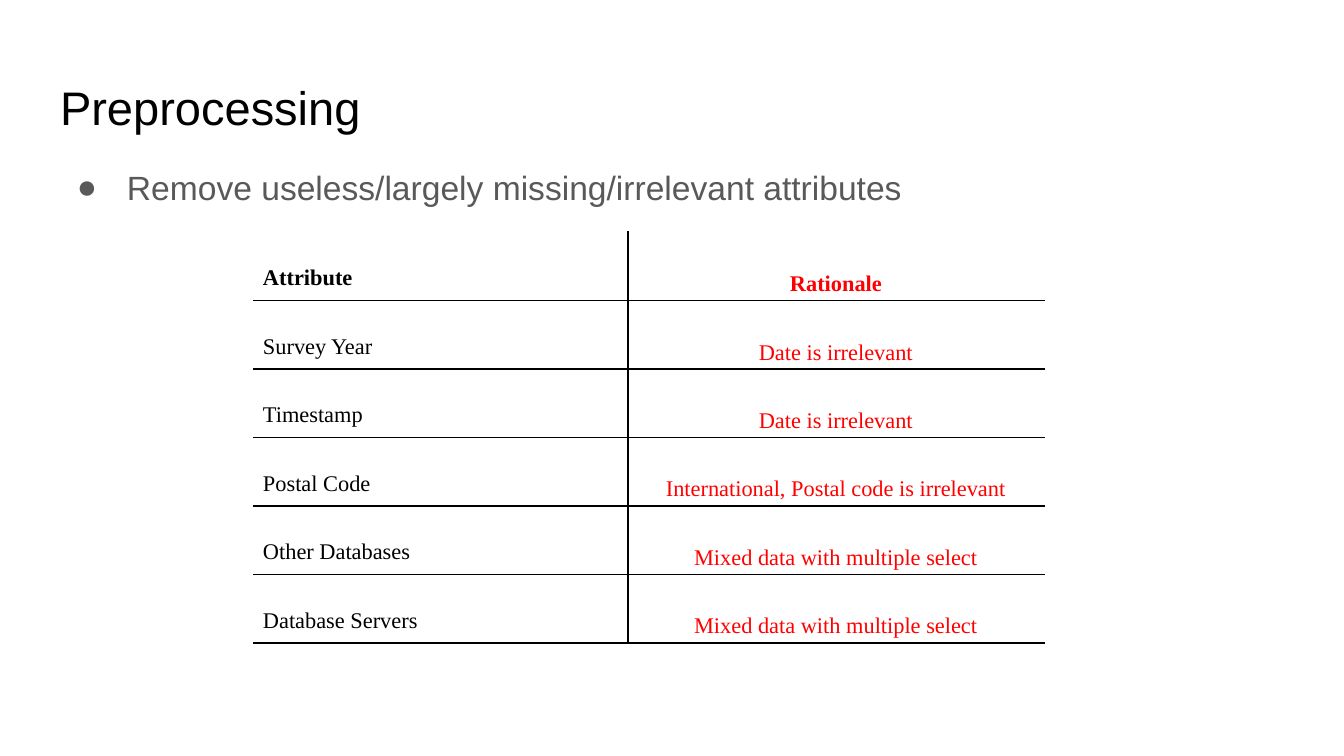
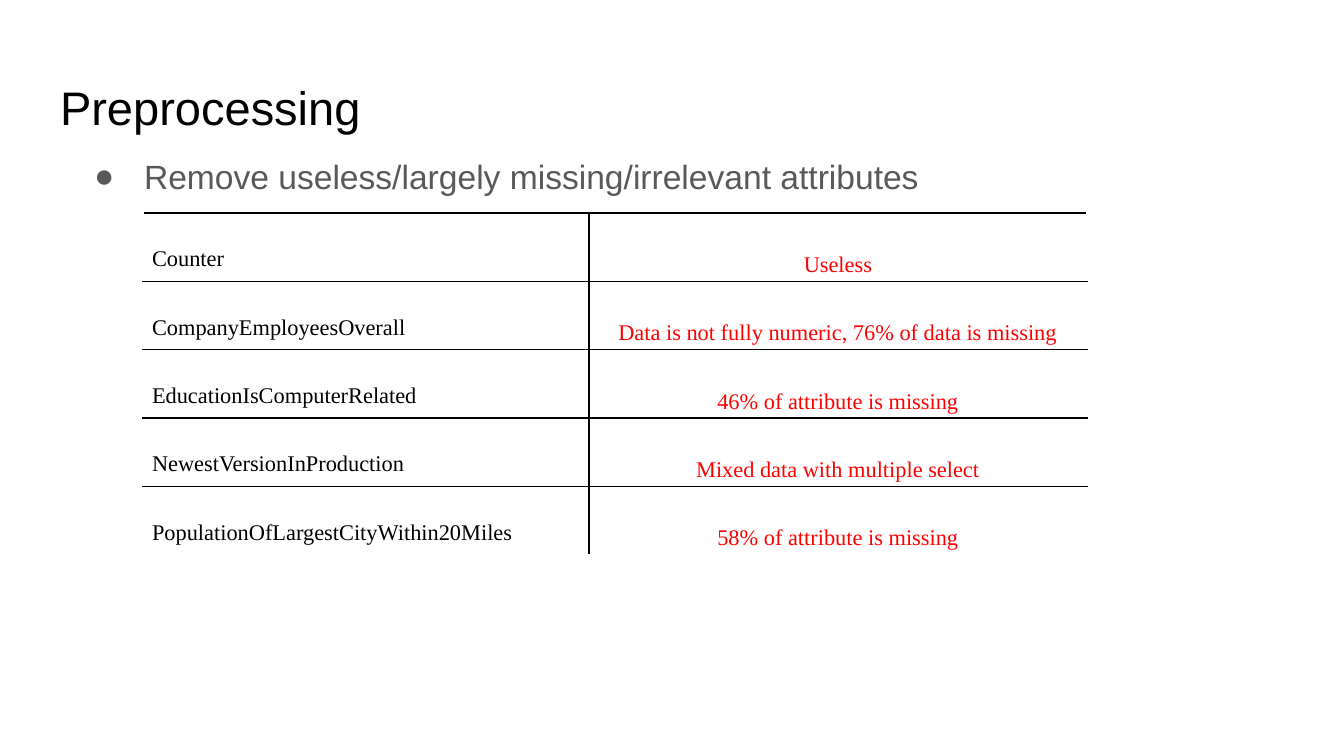
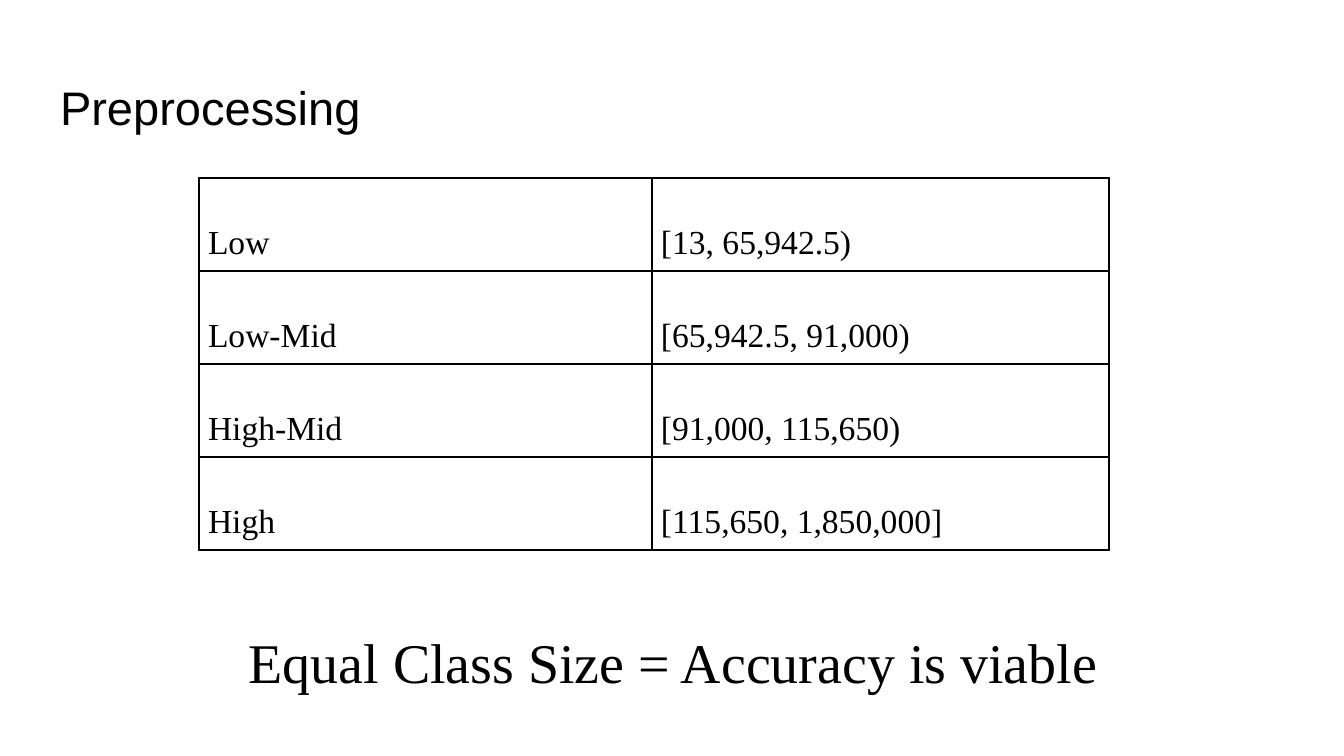
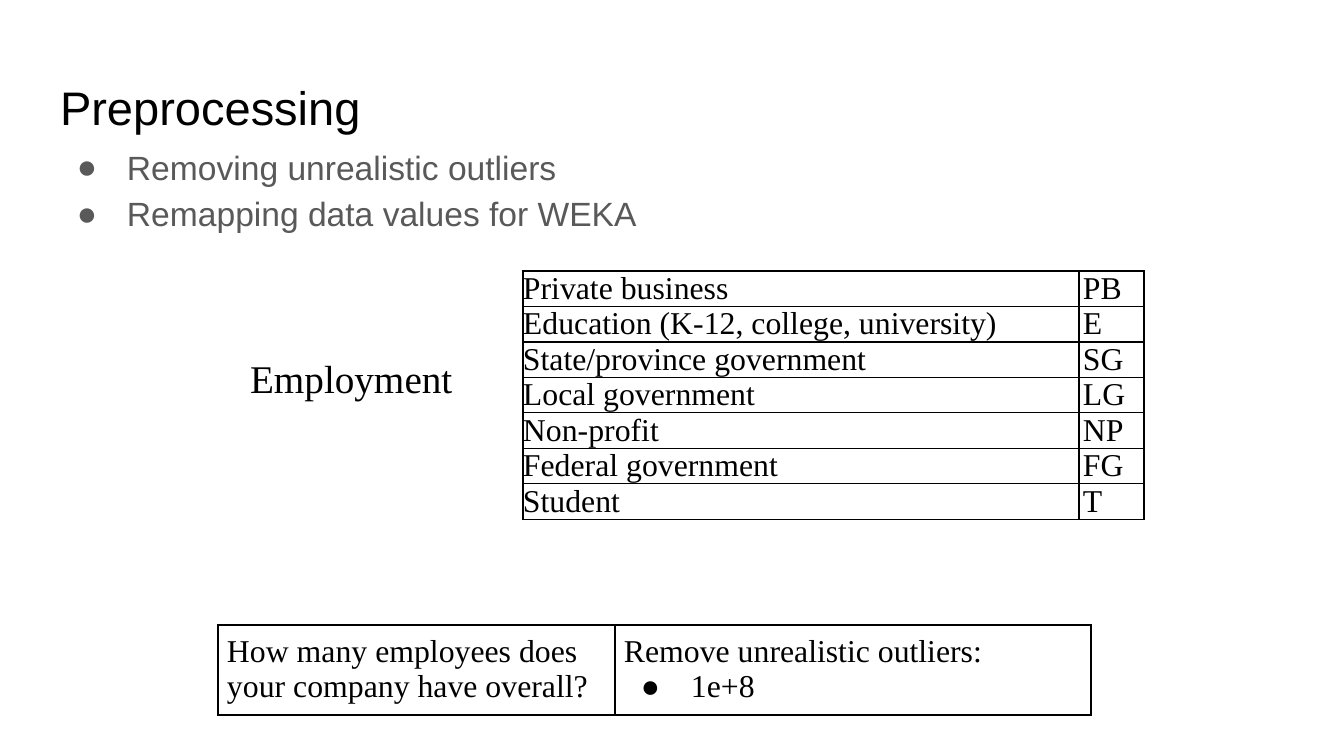
"""Build four slides on preprocessing survey data."""
import pptx
import pptx.util
import pptx.dml.color
import pptx.enum.text
import pptx.oxml.ns
import lxml.etree

PX = 914400 / 134.4
SIZE = (1344, 756)
INK = {"black": "000000", "grey": "595959", "red": "FF0000", "white": "FFFFFF"}
SANS, SERIF = "Arial", "Times New Roman"
ALIGN = pptx.enum.text.PP_ALIGN
ANCHOR = pptx.enum.text.MSO_ANCHOR

TITLE = "Preprocessing"
HEAD = (47, 65, 1253, 85)
REMOVE = ["Remove useless/largely missing/irrelevant attributes"]

NAME = dict(size=12, pad=(9, 9, 9, 9), gap=2)
WHY = dict(size=12, pad=(0, 4, 0, 4), gap=2, ink="red", align=ALIGN.CENTER, anchor=ANCHOR.BOTTOM)
CLASS = dict(size=18, pad=(9, 9, 9, 9), gap=2)
JOB = dict(size=17, pad=(0, 0, 0, 0), anchor=ANCHOR.BOTTOM)
CODE = dict(JOB, pad=(4, 0, 4, 0))
NOTE = dict(size=17, pad=(9, 9, 9, 9))

SLIDES = [
    dict(
        list=(REMOVE, (47, 148, 1253, 503)),
        tables=[dict(
            at=(254, 232), cols=(374, 416), high=411, looks=(NAME, WHY), open="LTR", bold=True,
            rows=[
                ("Attribute", "Rationale"),
                ("Survey Year", "Date is irrelevant"),
                ("Timestamp", "Date is irrelevant"),
                ("Postal Code", "International, Postal code is irrelevant"),
                ("Other Databases", "Mixed data with multiple select"),
                ("Database Servers", "Mixed data with multiple select"),
            ])],
    ),
    dict(
        list=(REMOVE, (64, 137, 1253, 503)),
        tables=[dict(
            at=(143, 213), cols=(446, 498), high=342, looks=(NAME, WHY), open="LRB",
            rows=[
                ("Counter", "Useless"),
                ("CompanyEmployeesOverall", "Data is not fully numeric, 76% of data is missing"),
                ("EducationIsComputerRelated", "46% of attribute is missing"),
                ("NewestVersionInProduction", "Mixed data with multiple select"),
                ("PopulationOfLargestCityWithin20Miles", "58% of attribute is missing"),
            ])],
    ),
    dict(
        tables=[dict(
            at=(199, 178), cols=(453, 457), high=372, looks=(CLASS, CLASS),
            rows=[
                ("Low", "[13, 65,942.5)"),
                ("Low-Mid", "[65,942.5, 91,000)"),
                ("High-Mid", "[91,000, 115,650)"),
                ("High", "[115,650, 1,850,000]"),
            ])],
        label=("Equal Class Size = Accuracy is viable", (156, 614, 1035, 94),
               dict(size=30, align=ALIGN.CENTER)),
    ),
    dict(
        list=(["Removing unrealistic outliers", "Remapping data values for WEKA"],
              (47, 128, 1253, 503)),
        tables=[
            dict(
                at=(523, 271), cols=(556, 65), high=248, looks=(JOB, CODE), line=0.75,
                rows=[
                    ("Private business", "PB"),
                    ("Education (K-12, college, university)", "E"),
                    ("State/province government", "SG"),
                    ("Local government", "LG"),
                    ("Non-profit", "NP"),
                    ("Federal government", "FG"),
                    ("Student", "T"),
                ]),
            dict(
                at=(218, 625), cols=(397, 476), high=90, looks=(NOTE, dict(NOTE, dots=1)),
                rows=[("How many employees does your company have overall?",
                       ["Remove unrealistic outliers:", "1e+8"])]),
        ],
        label=("Employment", (237, 183, 337, 441), dict(size=21, pad=(13, 13, 13, 65))),
    ),
]


def px(num):
    return pptx.util.Emu(round(num * PX))


def add(node, tag, **attrs):
    return lxml.etree.SubElement(node, pptx.oxml.ns.qn(tag), **attrs)


def dot(para, ink, font):
    props = para._p.get_or_add_pPr()
    props.set("marL", str(px(67)))
    props.set("indent", str(-px(50)))
    add(add(props, "a:buClr"), "a:srgbClr", val=INK[ink])
    add(props, "a:buFont", typeface=font)
    add(props, "a:buChar", char="●")


def write(box, text, size=18, font=SERIF, ink="black", bold=False, align=ALIGN.LEFT,
          anchor=ANCHOR.TOP, pad=(13, 13, 13, 13), gap=1, dots=None):
    box.margin_left, box.margin_top, box.margin_right, box.margin_bottom = map(px, pad)
    box.vertical_anchor = anchor
    frame = getattr(box, "text_frame", box)
    frame.word_wrap = True
    lines = [text] if isinstance(text, str) else text
    for num, line in enumerate(lines):
        para = frame.add_paragraph() if num else frame.paragraphs[0]
        if dots is not None and num >= dots:
            dot(para, ink, font)
        para.alignment, para.line_spacing = align, gap
        para.space_before = pptx.util.Pt(0)
        run = para.add_run()
        run.text = line
        run.font.size, run.font.name, run.font.bold = pptx.util.Pt(size), font, bold
        run.font.color.rgb = pptx.dml.color.RGBColor.from_string(INK[ink])


def place(shape, at):
    shape.left, shape.top, shape.width, shape.height = map(px, at)
    shape.text_frame.auto_size = pptx.enum.text.MSO_AUTO_SIZE.NONE
    return shape.text_frame


def edge(cell, bare, width):
    props = cell._tc.get_or_add_tcPr()
    for side in "LRTB":
        line = add(props, "a:ln" + side, w=str(pptx.util.Pt(width)))
        ink = INK["white" if side in bare else "black"]
        add(add(line, "a:solidFill"), "a:srgbClr", val=ink)
    cell.fill.background()


def grid(slide, data):
    rows, cols = data["rows"], data["cols"]
    spot = (*data["at"], sum(cols), data["high"])
    table = slide.shapes.add_table(len(rows), len(cols), *map(px, spot)).table
    table.first_row = table.horz_banding = False
    for col, width in zip(table.columns, cols):
        col.width = px(width)
    for r, row in enumerate(rows):
        table.rows[r].height = px(data["high"] / len(rows))
        for c, text in enumerate(row):
            outer = {"L": c == 0, "R": c == len(cols) - 1, "T": r == 0, "B": r == len(rows) - 1}
            bare = [side for side in data.get("open", "") if outer[side]]
            cell = table.cell(r, c)
            edge(cell, bare, data.get("line", 1))
            write(cell, text, bold=r == 0 and data.get("bold", False), **data["looks"][c])


def main():
    deck = pptx.Presentation()
    deck.slide_width, deck.slide_height = map(px, SIZE)
    for data in SLIDES:
        slide = deck.slides.add_slide(deck.slide_layouts[1 if "list" in data else 5])
        write(place(slide.shapes.title, HEAD), TITLE, size=25.2, font=SANS)
        if "list" in data:
            lines, at = data["list"]
            write(place(slide.placeholders[1], at), lines, font=SANS, ink="grey", gap=1.15, dots=0)
        first, *rest = data["tables"]
        grid(slide, first)
        if "label" in data:
            text, at, look = data["label"]
            box = slide.shapes.add_textbox(*map(px, at))
            write(place(box, at), text, anchor=ANCHOR.MIDDLE, **look)
        for table in rest:
            grid(slide, table)
    deck.save("out.pptx")


if __name__ == "__main__":
    main()
